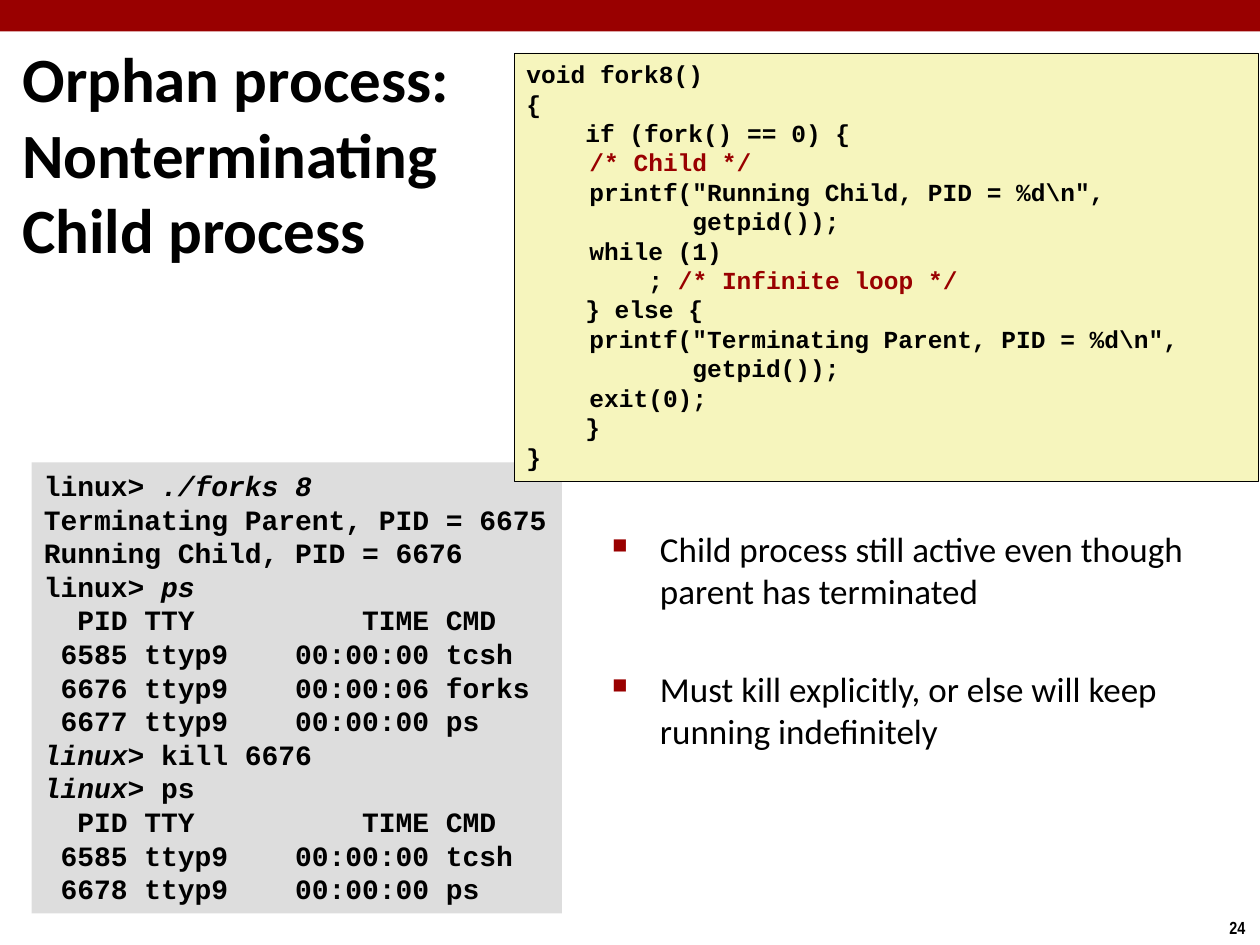
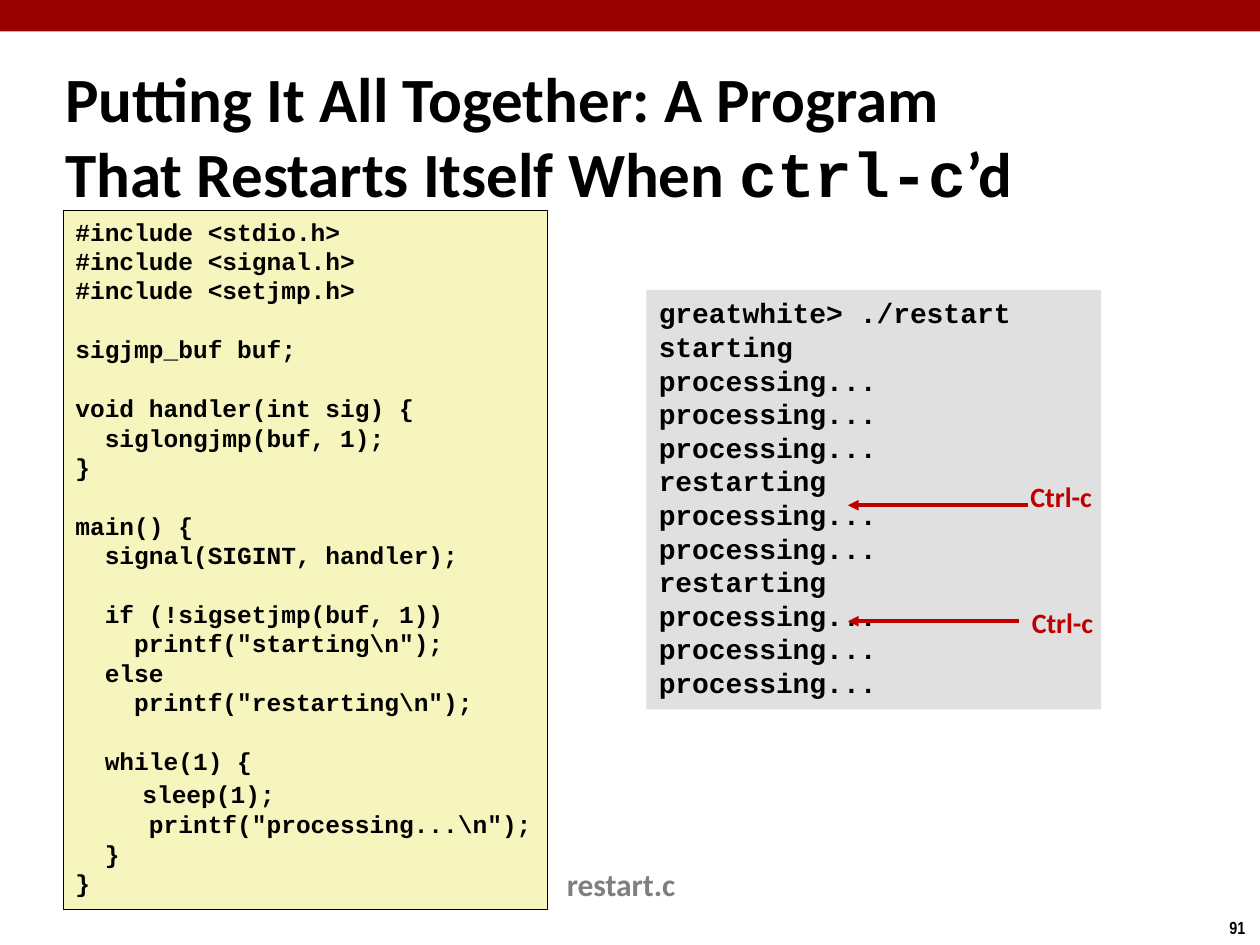
from lxml.etree import SubElement
from pptx import Presentation
from pptx.dml.color import RGBColor
from pptx.enum.shapes import MSO_CONNECTOR, MSO_SHAPE
from pptx.enum.text import MSO_ANCHOR, MSO_AUTO_SIZE
from pptx.oxml.ns import qn
from pptx.util import Inches, Pt

RED = "990000"
LABEL_RED = "C00000"
BLACK = "000000"
GREY_TEXT = "7F7F7F"
CODE_FILL = "F6F5BD"
BODY_FONT = "Calibri"
CODE_FONT = "Courier New"

FORK_CODE = [
    "void fork8()",
    "{",
    "    if (fork() == 0) {",
    ["\t", ("/* Child */", {"color": RED})],
    "\tprintf(\"Running Child, PID = %d\\n\",",
    "\t       getpid());",
    "\twhile (1)",
    ["\t    ; ", ("/* Infinite loop */", {"color": RED})],
    "    } else {",
    "\tprintf(\"Terminating Parent, PID = %d\\n\",",
    "\t       getpid());",
    "\texit(0);",
    "    }",
    "}",
]

FORK_SESSION = [
    ["linux> ", ("./forks 8", {"italic": True})],
    "Terminating Parent, PID = 6675",
    "Running Child, PID = 6676",
    ["linux> ", ("ps", {"italic": True})],
    "  PID TTY          TIME CMD",
    " 6585 ttyp9    00:00:00 tcsh",
    " 6676 ttyp9    00:00:06 forks",
    " 6677 ttyp9    00:00:00 ps",
    [("linux>", {"italic": True}), " kill 6676"],
    [("linux>", {"italic": True}), " ps"],
    "  PID TTY          TIME CMD",
    " 6585 ttyp9    00:00:00 tcsh",
    " 6678 ttyp9    00:00:00 ps",
]

RESTART_CODE = [
    "#include <stdio.h>",
    "#include <signal.h>",
    "#include <setjmp.h>",
    " ",
    "sigjmp_buf buf;",
    " ",
    "void handler(int sig) {",
    "  siglongjmp(buf, 1);",
    "}",
    " ",
    "main() {",
    "  signal(SIGINT, handler);",
    " ",
    "  if (!sigsetjmp(buf, 1))",
    "    printf(\"starting\\n\");",
    "  else",
    "    printf(\"restarting\\n\");",
    " ",
    "  while(1) {",
    [("    ", {"size": 16}), "sleep(1);"],
    "     printf(\"processing...\\n\");",
    "  }",
    "}",
]

RESTART_SESSION = (
    ["greatwhite> ./restart", "starting"]
    + ["processing..."] * 3
    + ["restarting"]
    + ["processing..."] * 2
    + ["restarting"]
    + ["processing..."] * 3
)


def rgb(value):
    return RGBColor.from_string(value)


def add_run(p, text, size, font=BODY_FONT, color=BLACK, bold=True, italic=False):
    r = p.add_run()
    r.text = text
    r.font.size = Pt(size)
    r.font.name = font
    r.font.bold = bold
    r.font.italic = italic
    r.font.color.rgb = rgb(color)


def add_lines(tf, lines, **base):
    for i, line in enumerate(lines):
        p = tf.paragraphs[0] if i == 0 else tf.add_paragraph()
        for part in [line] if isinstance(line, str) else line:
            text, style = (part, {}) if isinstance(part, str) else part
            add_run(p, text, **{**base, **style})


def add_box(s, left, top, width, height, fill, line=None):
    sp = s.shapes.add_shape(MSO_SHAPE.RECTANGLE, Inches(left), Inches(top),
                            Inches(width), Inches(height))
    sp.shadow.inherit = False
    sp.fill.solid()
    sp.fill.fore_color.rgb = rgb(fill)
    if line:
        sp.line.color.rgb = rgb(line)
        sp.line.width = Pt(0.25)
    else:
        sp.line.fill.background()
    return sp


def add_listing(s, left, top, width, height, lines, size, fill, line=None):
    tf = add_box(s, left, top, width, height, fill, line).text_frame
    tf.word_wrap = False
    tf.auto_size = MSO_AUTO_SIZE.SHAPE_TO_FIT_TEXT
    tf.vertical_anchor = MSO_ANCHOR.TOP
    add_lines(tf, lines, size=size, font=CODE_FONT)
    for p in tf.paragraphs:
        p.alignment = 1


def add_text(s, left, top, width, height, wrap=True):
    tf = s.shapes.add_textbox(Inches(left), Inches(top), Inches(width),
                              Inches(height)).text_frame
    tf.word_wrap = wrap
    return tf


def add_label(s, left, top, width, height, text, **style):
    add_lines(add_text(s, left, top, width, height, wrap=False), [text], **style)


def add_title(s, left, top, width, height, lines):
    tf = add_text(s, left, top, width, height)
    tf.vertical_anchor = MSO_ANCHOR.MIDDLE
    p = tf.paragraphs[0]
    for i, line in enumerate(lines):
        if i:
            p.add_line_break()
        for text, font in line:
            add_run(p, text, 36, font)


def add_bullets(s, left, top, width, height, items):
    tf = add_text(s, left, top, width, height)
    add_lines(tf, items, size=20, bold=False)
    for i, p in enumerate(tf.paragraphs):
        p.space_before = Pt(32 if i else 0)
        pPr = p._p.get_or_add_pPr()
        pPr.set("marL", str(Inches(0.38)))
        pPr.set("indent", str(-Inches(0.38)))
        SubElement(SubElement(pPr, qn("a:buClr")), qn("a:srgbClr")).set("val", RED)
        SubElement(pPr, qn("a:buSzPct")).set("val", "60000")
        SubElement(pPr, qn("a:buChar")).set("char", "■")


def add_arrow(s, tip, tail, y):
    c = s.shapes.add_connector(MSO_CONNECTOR.STRAIGHT, Inches(tip), Inches(y),
                               Inches(tail), Inches(y))
    c.line.color.rgb = rgb(LABEL_RED)
    c.line.width = Pt(2)
    SubElement(c.line._get_or_add_ln(), qn("a:headEnd")).set("type", "triangle")
    SubElement(c._element.spPr, qn("a:effectLst"))


def new_slide(prs, number):
    s = prs.slides.add_slide(prs.slide_layouts[6])
    add_box(s, 0, 0, 10, 0.25, RED)
    add_label(s, 9.66, 7.23, 0.34, 0.27, number, size=10, font="Arial Narrow")
    return s


def orphan_slide(prs):
    s = new_slide(prs, "24")
    add_listing(s, 0.25, 3.67, 4.21, 3.58, FORK_SESSION, 16, "DDDDDD")
    add_title(s, 0.08, 0.33, 4.17, 1.77, [
        [("Orphan process: Nonterminating", BODY_FONT)],
        [("Child process", BODY_FONT)],
    ])
    add_bullets(s, 4.76, 4.14, 4.74, 2.95, [
        "Child process still active even though parent has terminated",
        "Must kill explicitly, or else will keep running indefinitely",
    ])
    add_listing(s, 4.08, 0.42, 5.91, 3.4, FORK_CODE, 14, CODE_FILL, BLACK)


def restart_slide(prs):
    s = new_slide(prs, "91")
    add_title(s, 0.42, 0.47, 9.25, 1.2, [
        [("Putting It All Together: A Program", BODY_FONT)],
        [("That Restarts Itself When ", BODY_FONT), ("ctrl-c", CODE_FONT),
         ("’d", BODY_FONT)],
    ])
    add_listing(s, 0.5, 1.67, 3.84, 5.55, RESTART_CODE, 14, CODE_FILL, BLACK)
    add_label(s, 4.4, 6.82, 1.07, 0.4, "restart.c", size=18, color=GREY_TEXT)
    add_listing(s, 5.13, 2.3, 3.61, 3.33, RESTART_SESSION, 16, "E0E0E0")
    for left, top, tail, y in [(8.08, 3.76, 8.16, 4.01), (8.09, 4.76, 8.09, 4.93)]:
        add_label(s, left, top, 0.71, 0.37, "Ctrl-c", size=16, color=LABEL_RED)
        add_arrow(s, 6.73, tail, y)


def main():
    prs = Presentation()
    prs.slide_width = Inches(10)
    prs.slide_height = Inches(7.5)
    orphan_slide(prs)
    restart_slide(prs)
    prs.save("out.pptx")


if __name__ == "__main__":
    main()
